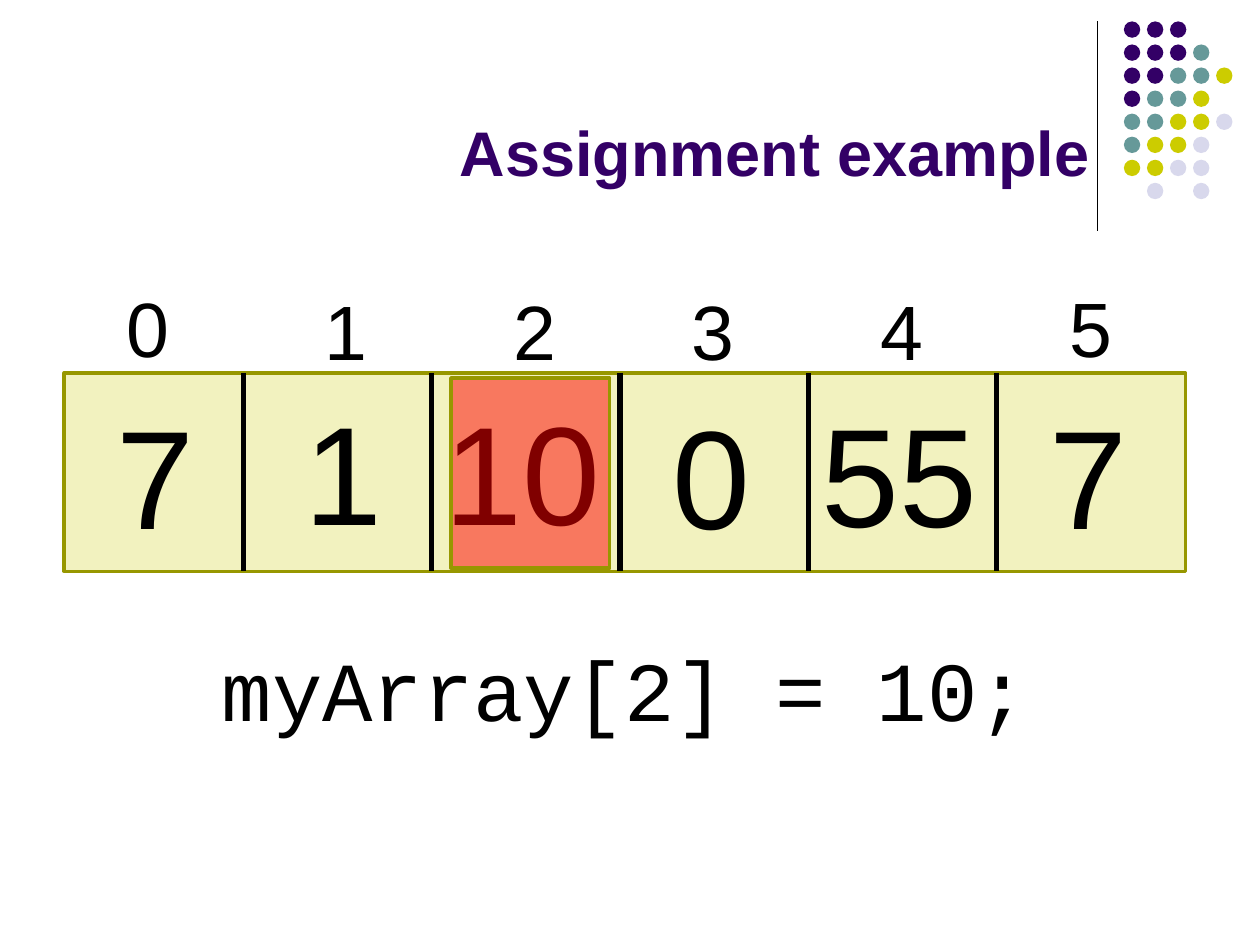
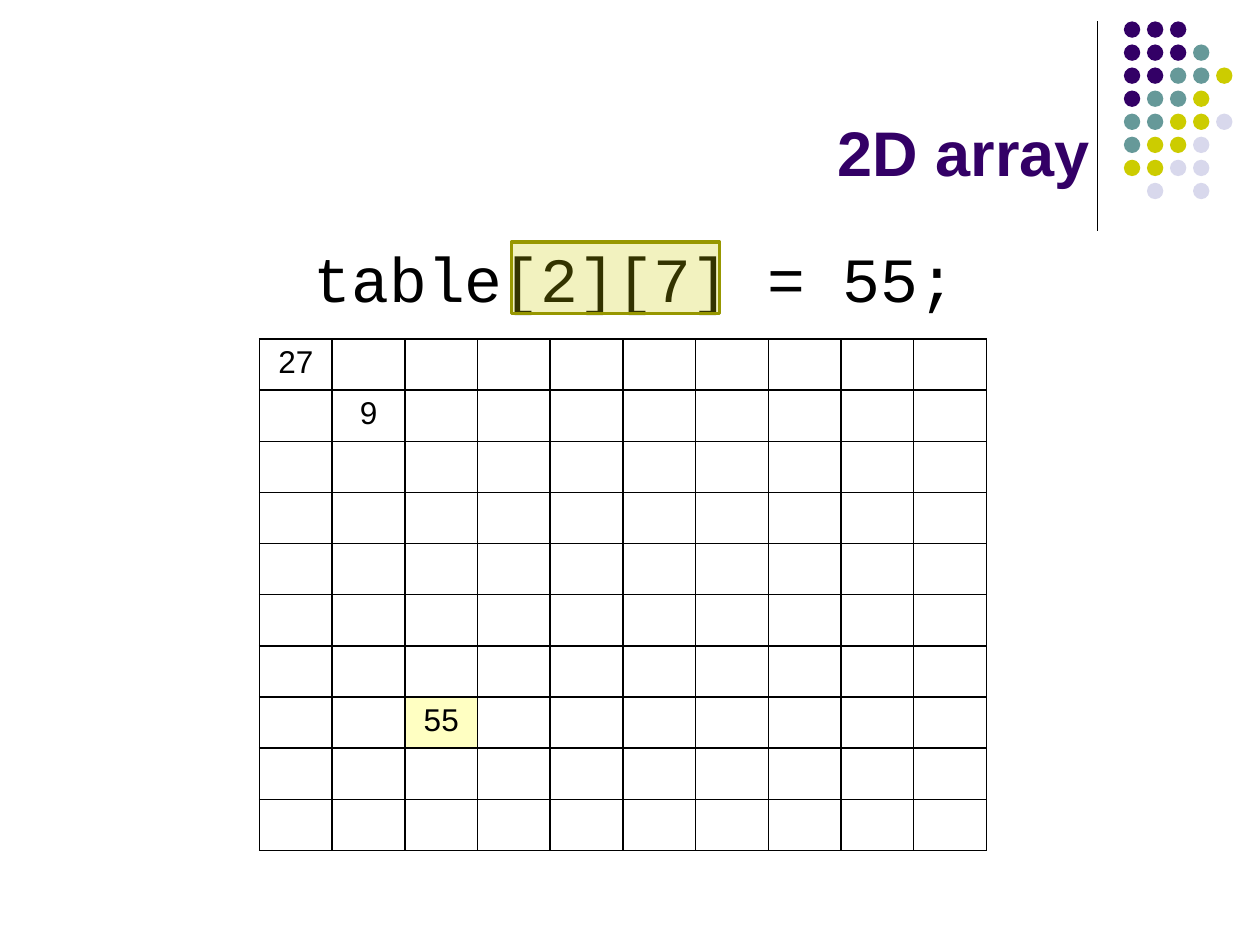
"""Two slides on arrays: an assignment to one element, and a 2D table."""
from dataclasses import dataclass

import pptx
import pptx.dml.color
import pptx.enum.shapes
import pptx.enum.text
import pptx.oxml
import pptx.oxml.ns
import pptx.util

RGB = pptx.dml.color.RGBColor
PURPLE = RGB(0x33, 0x00, 0x66)
TEAL = RGB(0x66, 0x99, 0x99)
YELLOW = RGB(0xCC, 0xCC, 0x00)
LILAC = RGB(0xD8, 0xD8, 0xEC)
OLIVE = RGB(0x97, 0x97, 0x00)
RED = RGB(0xFF, 0x00, 0x00)
CREAM = RGB(0xFF, 0xFF, 0xC2)
BLACK = RGB(0x00, 0x00, 0x00)

SANS, MONO = "Arial", "Courier New"
ALIGN = pptx.enum.text.PP_ALIGN
ANCHOR = pptx.enum.text.MSO_ANCHOR
AUTOSIZE = pptx.enum.text.MSO_AUTO_SIZE
SHAPE = pptx.enum.shapes.MSO_SHAPE

prs = pptx.Presentation()
prs.slide_width, prs.slide_height = pptx.util.Inches(10), pptx.util.Inches(7.5)

# The layout grid has 100 columns and 75 rows; all lengths below count them.
COL, ROW = prs.slide_width / 100, prs.slide_height / 75

DOT_COLORS = {"P": PURPLE, "T": TEAL, "Y": YELLOW, "L": LILAC}
DOT_ROWS = ["PPP", "PPPT", "PPTTY", "PTTY", "TTYYL", "TYYL", "YYLL", " L L"]
DOT_STEP, DOT_SIZE = 1.83, 1.3


@dataclass(frozen=True)
class Box:
    """A rectangle in grid columns and rows."""
    left: float
    top: float
    width: float
    height: float

    def emu(self) -> list[int]:
        """Return left, top, width and height in EMU."""
        return [round(self.left * COL), round(self.top * ROW),
                round(self.width * COL), round(self.height * ROW)]


@dataclass(frozen=True)
class Element:
    """One array element: its index label and its value."""
    value: str
    index_left: float
    index_top: float
    value_left: float
    value_top: float
    value_width: float = 9.4


TITLE = Box(5, 1.3, 82.5, 14.2)
ARRAY = Box(5.1, 29.6, 89, 15.75)
DIVIDER_START, DIVIDER_STEP = 19.3, 14.95
ELEMENTS = [
    Element("7", 9.1, 21.8, 8.3, 30.4),
    Element("1", 24.8, 22, 23.2, 30.1),
    Element("10", 39.8, 22, 34.3, 30.1, 15.4),
    Element("0", 53.9, 22, 52.4, 30.4),
    Element("55", 68.9, 22, 64.2, 30.3, 15),
    Element("7", 83.9, 21.8, 82.3, 30.4),
]
TABLE = Box(20.6, 26.9, 57.7, 40.6)
TABLE_SIZE = 10
TABLE_VALUES = {(0, 0): "27", (1, 1): "9", (7, 2): "55"}
ASSIGNED_CELL = (7, 2)


def write(tf, text: str, *, size: float, font: str = SANS, color: RGB = BLACK,
          bold: bool = False, align=ALIGN.LEFT):
    """Put one formatted run in a text frame and return its paragraph."""
    p = tf.paragraphs[0]
    p.alignment = align
    r = p.add_run()
    r.text = text
    r.font.size, r.font.name, r.font.bold = pptx.util.Pt(size), font, bold
    r.font.color.rgb = color
    return p


def place(sp, box: Box) -> None:
    """Move a shape to a box."""
    sp.left, sp.top, sp.width, sp.height = box.emu()


def add_label(s, box: Box, text: str, **style) -> None:
    """Add a text box that grows with its text."""
    tf = s.shapes.add_textbox(*box.emu()).text_frame
    tf.word_wrap = True
    tf.auto_size = AUTOSIZE.SHAPE_TO_FIT_TEXT
    write(tf, text, **style)


def add_filled(shapes, kind, box: Box, color: RGB):
    """Add a preset shape with a plain fill and no line or shadow."""
    sp = shapes.add_shape(kind, *box.emu())
    sp.shadow.inherit = False
    sp.fill.solid()
    sp.fill.fore_color.rgb = color
    sp.line.fill.background()
    return sp


def add_tint(s, box: Box, color: RGB, opacity: int) -> None:
    """Add a see-through rectangle with an olive outline."""
    sp = add_filled(s.shapes, SHAPE.RECTANGLE, box, color)
    sp.line.color.rgb, sp.line.width = OLIVE, pptx.util.Pt(2)
    clr = sp._element.spPr.find(pptx.oxml.ns.qn("a:solidFill"))[0]
    alpha = clr.makeelement(pptx.oxml.ns.qn("a:alpha"), {"val": str(opacity * 1000)})
    clr.append(alpha)


def add_vertical(s, x: float, top: float, bottom: float, width: float) -> None:
    """Add a black vertical line."""
    line = s.shapes.add_connector(
        pptx.enum.shapes.MSO_CONNECTOR.STRAIGHT,
        round(x * COL), round(top * ROW), round(x * COL), round(bottom * ROW))
    line.line.color.rgb, line.line.width = BLACK, pptx.util.Pt(width)
    sp_pr = line._element.spPr
    sp_pr.append(sp_pr.makeelement(pptx.oxml.ns.qn("a:effectLst"), {}))


def add_dots(s) -> None:
    """Draw the grouped dot pattern in the corner."""
    group = s.shapes.add_group_shape()
    for row, codes in enumerate(DOT_ROWS):
        for col, code in enumerate(codes):
            if code in DOT_COLORS:
                box = Box(89.2 + col * DOT_STEP, 1.7 + row * DOT_STEP, DOT_SIZE, DOT_SIZE)
                add_filled(group.shapes, SHAPE.OVAL, box, DOT_COLORS[code])


def add_slide(layout: int, title: str):
    """Add a slide with the shared decoration and title style."""
    s = prs.slides.add_slide(prs.slide_layouts[layout])
    add_vertical(s, 87.1, 1.7, 18.3, 0.75)
    add_dots(s)
    sp = s.shapes.title
    place(sp, TITLE)
    tf = sp.text_frame
    tf.vertical_anchor = ANCHOR.BOTTOM
    tf.auto_size = AUTOSIZE.NONE
    write(tf, title, size=36, color=PURPLE, bold=True, align=ALIGN.RIGHT)
    return s


def add_borders(cell) -> None:
    """Give a table cell thin black borders on all sides."""
    tc_pr = cell._tc.get_or_add_tcPr()
    for side in ("lnL", "lnR", "lnT", "lnB"):
        tc_pr.append(pptx.oxml.parse_xml(
            f'<a:{side} {pptx.oxml.ns.nsdecls("a")} w="12700"><a:solidFill>'
            f'<a:srgbClr val="{BLACK}"/></a:solidFill></a:{side}>'))


def add_grid(s) -> None:
    """Add the 2D array as a table, with the assigned cell filled."""
    table = s.shapes.add_table(TABLE_SIZE, TABLE_SIZE, *TABLE.emu()).table
    table.first_row = table.horz_banding = False
    for row in range(TABLE_SIZE):
        for col in range(TABLE_SIZE):
            cell = table.cell(row, col)
            add_borders(cell)
            if (row, col) == ASSIGNED_CELL:
                cell.fill.solid()
                cell.fill.fore_color.rgb = CREAM
            else:
                cell.fill.background()
            if (row, col) in TABLE_VALUES:
                write(cell.text_frame, TABLE_VALUES[row, col], size=18, align=ALIGN.CENTER)


def build_assignment() -> None:
    """Build the slide that assigns one array element."""
    s = add_slide(5, "Assignment example")
    add_tint(s, ARRAY, YELLOW, 25)
    for i in range(len(ELEMENTS) - 1):
        add_vertical(s, DIVIDER_START + i * DIVIDER_STEP,
                     ARRAY.top, ARRAY.top + ARRAY.height, 3)
    for i, e in enumerate(ELEMENTS):
        add_label(s, Box(e.value_left, e.value_top, e.value_width, 14.5), e.value, size=80)
        add_label(s, Box(e.index_left, e.index_top, 4.7, 8.4), str(i), size=44)
    add_label(s, Box(ARRAY.left, 50.1, ARRAY.width, 9.1), "myArray[2] = 10;",
              size=48, font=MONO, align=ALIGN.CENTER)
    add_tint(s, Box(35.8, 30, 12.6, 15.1), RED, 50)


def build_table() -> None:
    """Build the slide that assigns one cell of a 2D array."""
    s = add_slide(1, "2D array")
    sp = s.placeholders[1]
    place(sp, Box(7.5, 19.2, 85.8, 51.7))
    sp.text_frame.auto_size = AUTOSIZE.NONE
    p = write(sp.text_frame, "table[2][7] = 55;", size=36, font=MONO, align=ALIGN.CENTER)
    p.line_spacing = 0.9
    p_pr = p._p.get_or_add_pPr()
    p_pr.set("marL", "0")
    p_pr.set("indent", "0")
    p_pr.append(p_pr.makeelement(pptx.oxml.ns.qn("a:buNone"), {}))
    add_grid(s)
    add_tint(s, Box(40.6, 19.2, 16.5, 5.7), YELLOW, 25)


build_assignment()
build_table()
prs.save("out.pptx")
